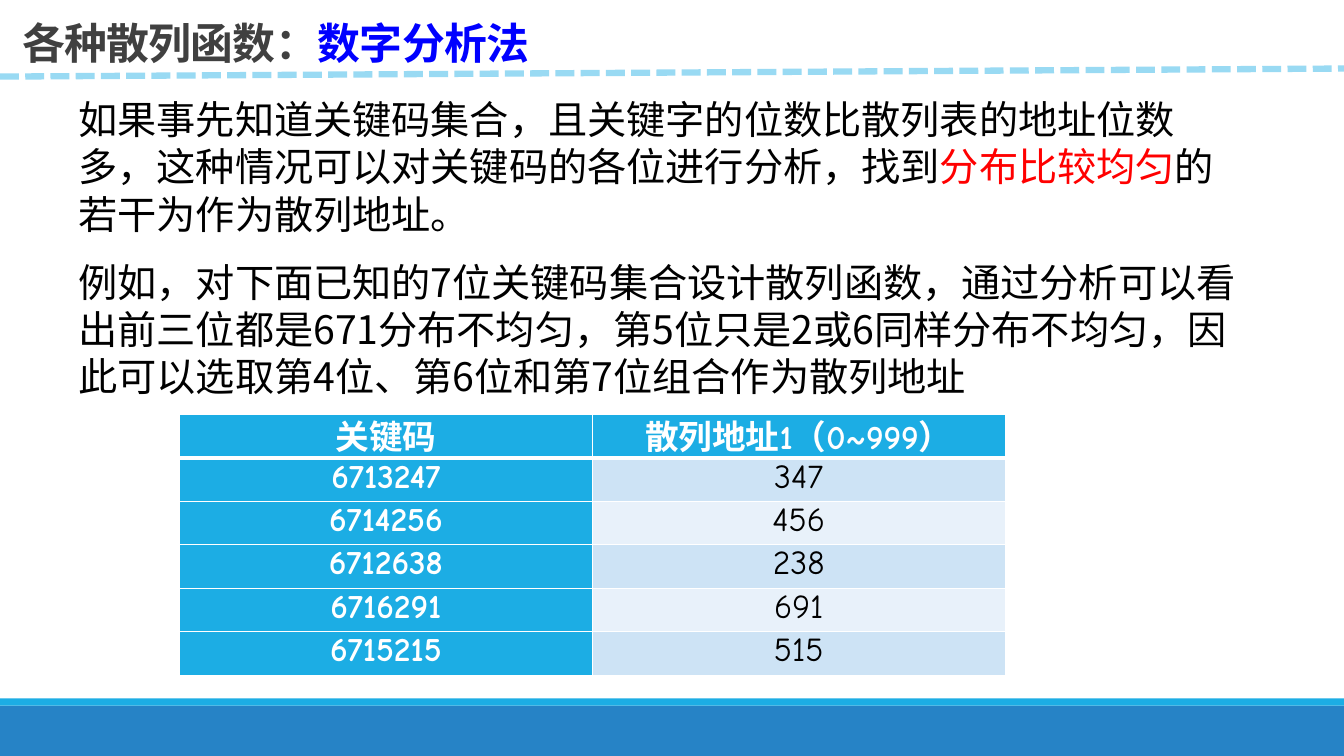
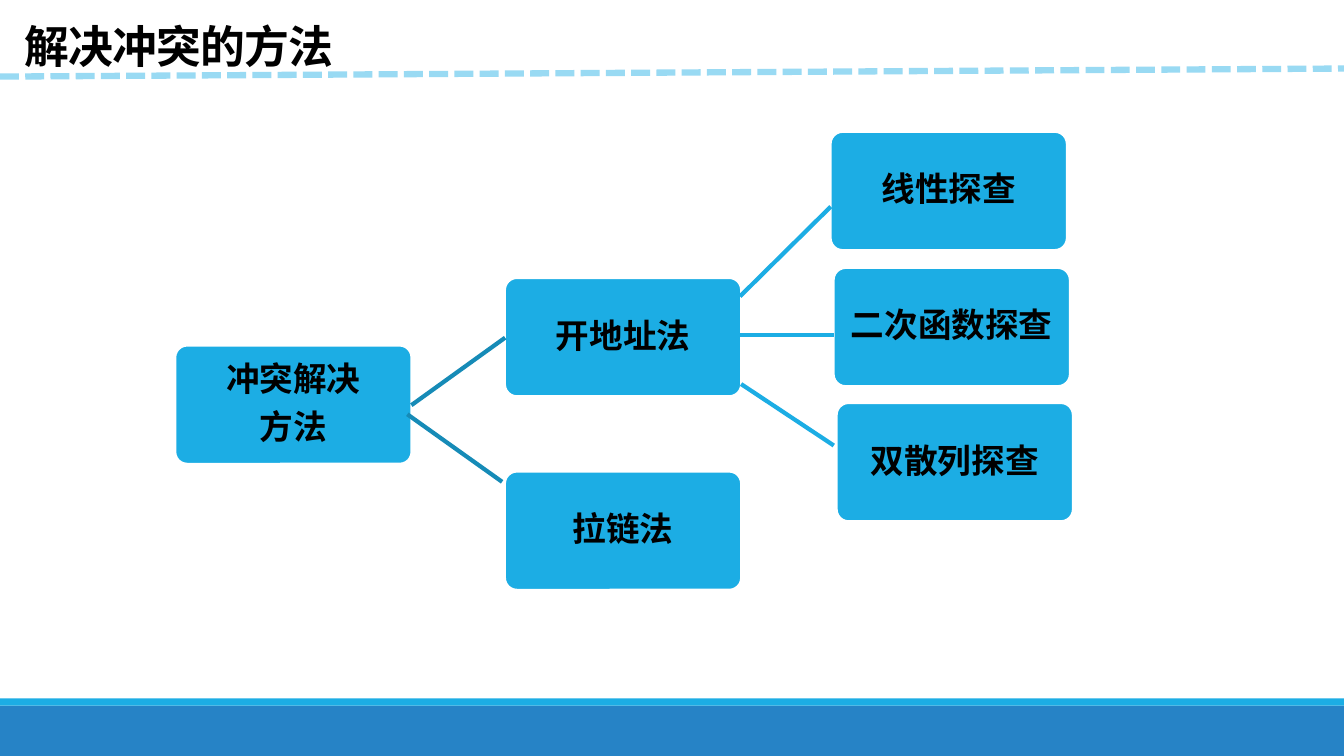
from pptx import Presentation
from pptx.dml.color import RGBColor
from pptx.enum.dml import MSO_LINE
from pptx.enum.shapes import MSO_CONNECTOR, MSO_SHAPE
from pptx.enum.text import MSO_ANCHOR, PP_ALIGN
from pptx.oxml.ns import qn
from pptx.util import Inches, Pt
from lxml import etree

RECT, ROUNDED = MSO_SHAPE.RECTANGLE, MSO_SHAPE.ROUNDED_RECTANGLE
STRAIGHT, DASH = MSO_CONNECTOR.STRAIGHT, MSO_LINE.SQUARE_DOT
LEFT, CENTER = PP_ALIGN.LEFT, PP_ALIGN.CENTER
TOP, MIDDLE, BOTTOM = MSO_ANCHOR.TOP, MSO_ANCHOR.MIDDLE, MSO_ANCHOR.BOTTOM

COLORS = {
    "white": "FFFFFF", "black": "000000", "gray": "404040", "red": "FF0000",
    "blue": "0000FF", "band": "2683C6", "accent": "1CADE4", "dash": "99DAF3",
    "branch": "168BB7", "row_dark": "CDE3F5", "row_light": "E8F1FA",
}
CJK, COMIC, ARIAL = "Noto Sans CJK SC", "Comic Neue", "Arial"
SLIDE_W, SLIDE_H = 13.33, 7.5
BOX_W, BOX_H = 2.34, 1.17


def rgb(name):
    """Return the named colour."""
    return RGBColor.from_string(COLORS[name])


def format_run(r, size, color, font=CJK, bold=False, spacing=None):
    """Set size, colour and typeface of a run, for Latin and East Asian text."""
    r.font.size, r.font.bold, r.font.name = Pt(size), bold, font
    r.font.color.rgb = rgb(color)
    rPr = r.font._element
    etree.SubElement(rPr, qn("a:ea")).set("typeface", font)
    if spacing is not None:
        rPr.set("spc", str(int(spacing * 100)))


def write_text(tf, paragraphs, align=LEFT, anchor=TOP, line=None, after=0, **fmt):
    """Fill a frame; a paragraph is a string or a list of (text, overrides)."""
    tf.word_wrap, tf.vertical_anchor = True, anchor
    for i, runs in enumerate(paragraphs):
        p = tf.paragraphs[0] if i == 0 else tf.add_paragraph()
        p.alignment, p.space_after = align, Pt(after)
        p._p.get_or_add_pPr().set("hangingPunct", "0")
        if line:
            p.line_spacing = line
        for text, extra in [(runs, {})] if isinstance(runs, str) else runs:
            r = p.add_run()
            r.text = text
            format_run(r, **{**fmt, **extra})


def add_block(s, kind, x, y, w, h, fill, outline=None):
    """Add a flat filled shape with an optional outline colour."""
    sp = s.shapes.add_shape(kind, Inches(x), Inches(y), Inches(w), Inches(h))
    sp.shadow.inherit = False
    sp.fill.solid()
    sp.fill.fore_color.rgb = rgb(fill)
    if outline:
        sp.line.color.rgb, sp.line.width = rgb(outline), Pt(1.25)
    else:
        sp.line.fill.background()
    return sp


def add_line(s, start, end, color, width=3, dash=None):
    """Draw a straight line between two points."""
    cx = s.shapes.add_connector(STRAIGHT, *map(Inches, start + end))
    cx.line.color.rgb, cx.line.width = rgb(color), Pt(width)
    if dash:
        cx.line.dash_style = dash
    etree.SubElement(cx._element.spPr, qn("a:effectLst"))


def add_slide(prs, title, place, **fmt):
    """Add a slide with the shared bands, title and dashed rule."""
    s = prs.slides.add_slide(prs.slide_layouts[6])
    add_block(s, RECT, 0, 7, SLIDE_W, 0.5, "band")
    add_block(s, RECT, 0, 6.93, SLIDE_W, 0.07, "accent")
    sp = add_block(s, RECT, *place, "white")
    write_text(sp.text_frame, [title], anchor=BOTTOM, line=0.75, bold=True,
               spacing=-0.5, **fmt)
    add_line(s, (0, 0.76), (SLIDE_W, 0.68), "dash", 4.5, DASH)
    return s


def add_body(s, x, y, w, h, runs):
    """Add a paragraph of body text."""
    tb = s.shapes.add_textbox(Inches(x), Inches(y), Inches(w), Inches(h))
    write_text(tb.text_frame, [runs], size=28, color="black")


def set_borders(cell, bottom):
    """Give a cell white borders, with its own bottom width in points."""
    tcPr = cell._tc.get_or_add_tcPr()
    for i, (side, width) in enumerate(zip("LRTB", (1, 1, 1, bottom))):
        ln = etree.Element(qn("a:ln" + side), w=str(Pt(width)))
        fill = etree.SubElement(ln, qn("a:solidFill"))
        etree.SubElement(fill, qn("a:srgbClr"), val=COLORS["white"])
        tcPr.insert(i, ln)


def add_key_table(s, x, y, w, h, rows):
    """Add a table with an accented header row and first column."""
    table = s.shapes.add_table(len(rows), len(rows[0]), Inches(x), Inches(y),
                               Inches(w), Inches(h)).table
    for i, values in enumerate(rows):
        for j, value in enumerate(values):
            cell = table.cell(i, j)
            head = i == 0 or j == 0
            cell.margin_left = cell.margin_right = Inches(0.07)
            cell.margin_top = cell.margin_bottom = 0
            cell.fill.solid()
            stripe = "row_dark" if i % 2 else "row_light"
            cell.fill.fore_color.rgb = rgb("accent" if head else stripe)
            set_borders(cell, 1 if i else 3)
            write_text(cell.text_frame, [value], align=CENTER, size=24, font=COMIC,
                       color="white" if head else "black", bold=head)
            cell.vertical_anchor = TOP if i else BOTTOM


def add_node(s, x, y, *lines):
    """Add a rounded box of the method tree."""
    sp = add_block(s, ROUNDED, x, y, BOX_W, BOX_H, "accent", "white")
    sp.adjustments[0] = 0.1
    tf = sp.text_frame
    tf.margin_left = tf.margin_right = tf.margin_top = tf.margin_bottom = Inches(0.05)
    write_text(tf, lines, align=CENTER, anchor=MIDDLE, line=0.9, after=8.4,
               size=24, color="black", bold=True)


def build_digit_analysis(prs):
    """Slide on the digit analysis method."""
    title = [("各种散列函数：", {}), ("数字分析法", {"color": "blue", "font": ARIAL})]
    s = add_slide(prs, title, (0.12, -0.03, 5.29, 0.75), size=30.6, color="gray")
    add_body(s, 0.68, 0.9, 11.58, 1.51, [
        ("如果事先知道关键码集合，且关键字的位数比散列表的地址位数多，"
         "这种情况可以对关键码的各位进行分析，找到", {}),
        ("分布比较均匀", {"color": "red"}),
        ("的若干为作为散列地址。", {})])
    add_body(s, 0.68, 2.51, 11.73, 1.51,
             "例如，对下面已知的7位关键码集合设计散列函数，通过分析可以看出前三位都是671"
             "分布不均匀，第5位只是2或6同样分布不均匀，因此可以选取第4位、第6位和第7位"
             "组合作为散列地址")
    add_key_table(s, 1.78, 4.11, 8.19, 2.59, [
        ("关键码", "散列地址1（0~999）"), ("6713247", "347"), ("6714256", "456"),
        ("6712638", "238"), ("6716291", "691"), ("6715215", "515")])


def build_collision_methods(prs):
    """Slide with the tree of collision resolution methods."""
    s = add_slide(prs, "解决冲突的方法", (0.14, 0.21, 3.67, 0.55), size=32, color="black")
    add_node(s, 1.74, 3.43, "冲突解决", "方法")
    for x, y, text in [(5.01, 2.76, "开地址法"), (5.01, 4.68, "拉链法"),
                       (8.24, 1.31, "线性探查"), (8.27, 2.66, "二次函数探查"),
                       (8.3, 4, "双散列探查")]:
        add_node(s, x, y, text)
    for start, end, color in [((4.08, 4.02), (5.01, 3.35), "branch"),
                              ((4.04, 4.11), (4.98, 4.78), "branch"),
                              ((7.34, 2.94), (8.24, 2.05), "accent"),
                              ((7.24, 3.32), (8.27, 3.32), "accent"),
                              ((7.35, 3.81), (8.27, 4.42), "accent")]:
        add_line(s, start, end, color)


def main():
    """Build and save the presentation."""
    prs = Presentation()
    prs.slide_width, prs.slide_height = Inches(SLIDE_W), Inches(SLIDE_H)
    build_digit_analysis(prs)
    build_collision_methods(prs)
    prs.save("out.pptx")


main()
